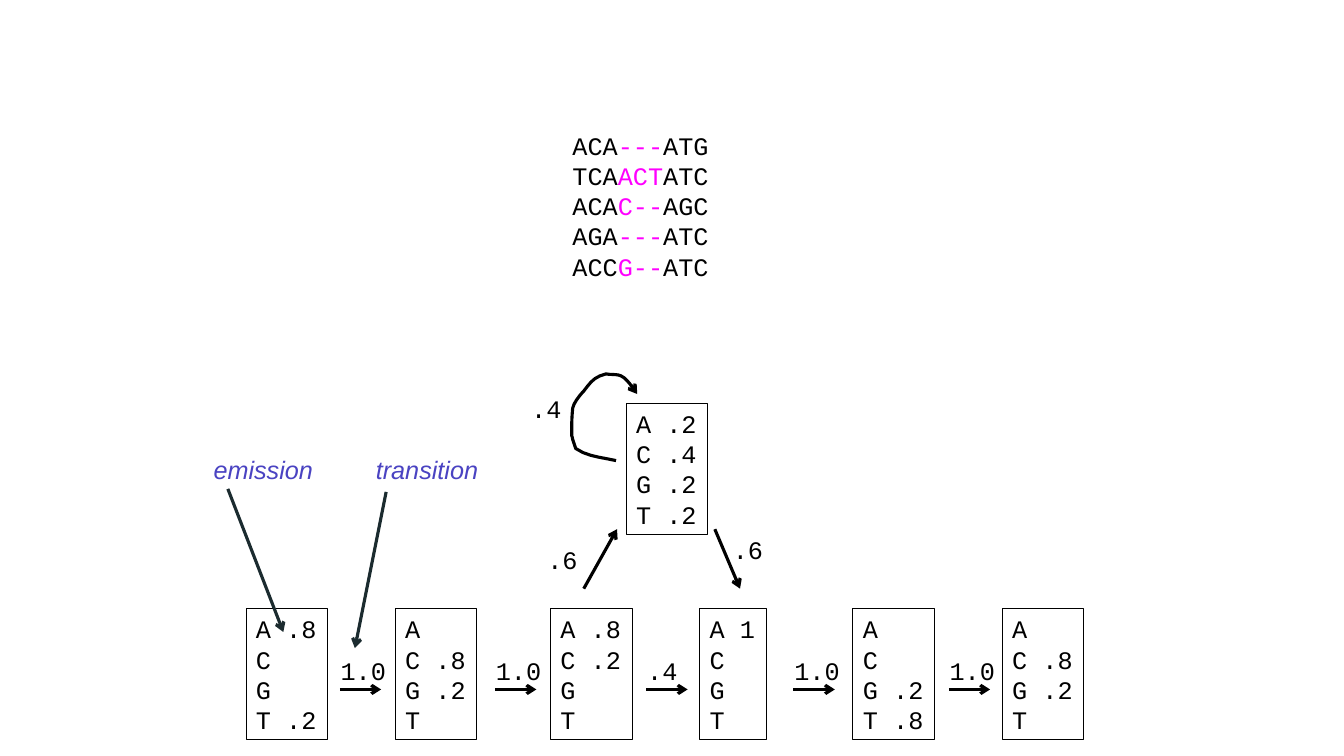
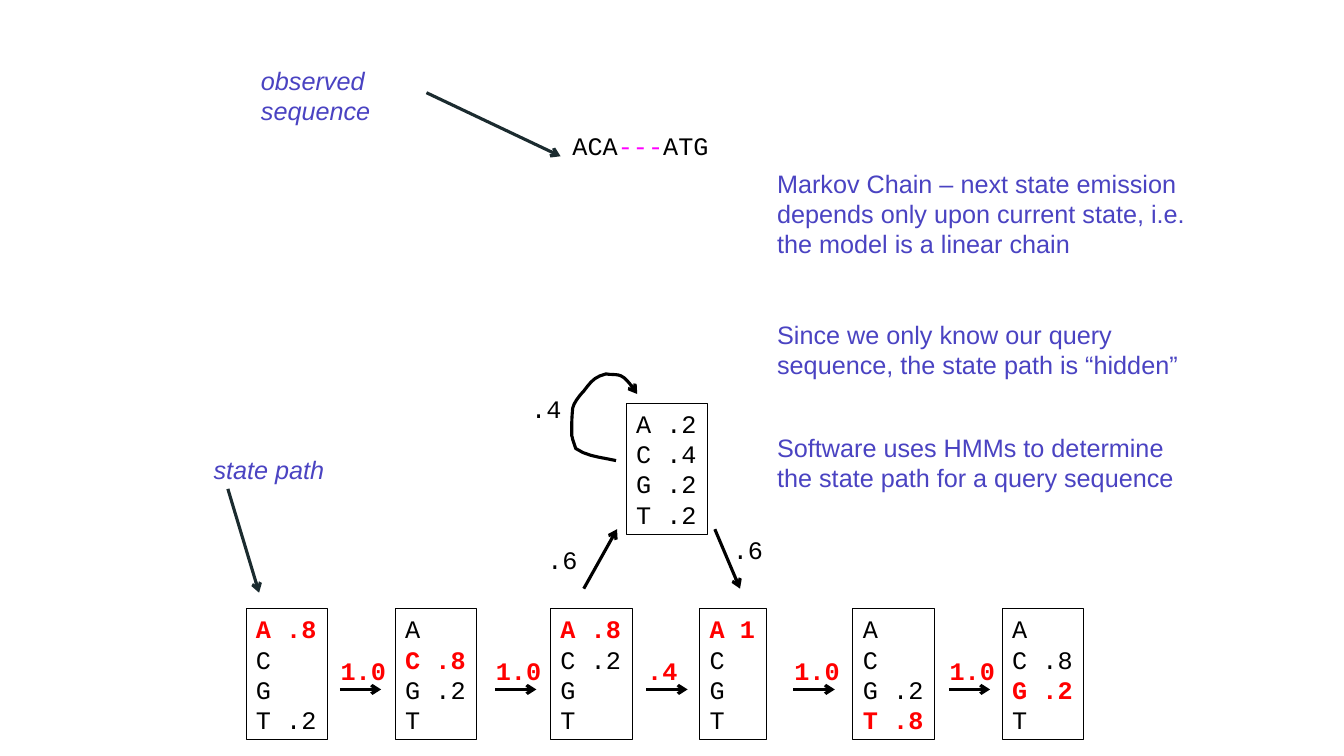
from lxml import etree
from pptx import Presentation
from pptx.dml.color import RGBColor
from pptx.enum import shapes, text
from pptx.oxml.ns import qn
from pptx.util import Inches, Pt

COLORS = {"ink": "000000", "insert": "FF00FF", "path": "FF0000",
          "note": "4A43C2", "pointer": "1B2B2F"}
MONO = {"name": "Courier New", "size": Pt(18), "bold": False, "italic": False}
NOTE = {**MONO, "name": "Arial"}
LABEL = {**NOTE, "italic": True}


def add_text(s, x, y, lines, fmt=MONO, width=None, wrap=False, border=False):
    """Place lines, each a list of (text, colour name) runs; path runs are bold."""
    if width is None:
        width = 0.21 + 0.15 * max(sum(len(t) for t, c in runs) for runs in lines)
    box = [Inches(v) for v in (x, y, width, 0.1 + 0.3 * len(lines))]
    if border:
        sp = s.shapes.add_shape(shapes.MSO_SHAPE.RECTANGLE, *box)
        sp.shadow.inherit = False
        sp.fill.background()
        sp.line.color.rgb = RGBColor.from_string(COLORS["ink"])
        sp.line.width = Pt(0.75)
    else:
        sp = s.shapes.add_textbox(*box)
    tf = sp.text_frame
    tf.word_wrap = wrap
    tf.auto_size = text.MSO_AUTO_SIZE.SHAPE_TO_FIT_TEXT
    tf.vertical_anchor = text.MSO_ANCHOR.TOP
    for i, runs in enumerate(lines):
        p = tf.paragraphs[0] if i == 0 else tf.add_paragraph()
        p.alignment = text.PP_ALIGN.LEFT
        for content, color in runs:
            r = p.add_run()
            r.text = content
            for key, value in fmt.items():
                setattr(r.font, key, value)
            r.font.bold = color == "path"
            r.font.color.rgb = RGBColor.from_string(COLORS[color])


def add_arrow(s, points, color="ink"):
    points = [(Inches(x), Inches(y)) for x, y in points]
    if len(points) == 2:
        sp = s.shapes.add_connector(shapes.MSO_CONNECTOR.STRAIGHT, *points[0], *points[1])
    else:
        fb = s.shapes.build_freeform(*points[0])
        fb.add_line_segments(points[1:], close=False)
        sp = fb.convert_to_shape()
        sp.fill.background()
    sp.line.color.rgb = RGBColor.from_string(COLORS[color])
    sp.line.width = Pt(2.25)
    sppr = sp.line._get_or_add_ln().getparent()
    etree.SubElement(sppr.find(qn("a:ln")), qn("a:tailEnd"), type="arrow")
    etree.SubElement(sppr, qn("a:effectLst"))


# Each alignment row: match columns, insert columns, match columns
ALIGNMENT = [("ACA", "---", "ATG"), ("TCA", "ACT", "ATC"), ("ACA", "C--", "AGC"),
             ("AGA", "---", "ATC"), ("ACC", "G--", "ATC")]
# Left edge, emissions, row on the state path
STATES = [(2.44, ["A .8", "C", "G", "T .2"], 0),
          (3.92, ["A", "C .8", "G .2", "T"], 1),
          (5.46, ["A .8", "C .2", "G", "T"], 0),
          (6.94, ["A 1", "C", "G", "T"], 0),
          (8.46, ["A", "C", "G .2", "T .8"], 3),
          (9.94, ["A", "C .8", "G .2", "T"], 2)]
INSERT_STATE = ["A .2", "C .4", "G .2", "T .2"]
TRANSITIONS = [(3.37, "1.0"), (4.91, "1.0"), (6.41, ".4"), (7.87, "1.0"), (9.41, "1.0")]
INSERT_LABELS = [(5.33, 5.35, ".6"), (7.17, 5.25, ".6"), (5.17, 3.85, ".4")]
INSERT_ARROWS = [[(5.79, 5.84), (6.12, 5.25)], [(7.09, 5.25), (7.34, 5.84)]]

# Self-loop: Bezier segments sampled into short lines
LOOP_START = (6.11, 4.57)
LOOP_CURVES = [[(5.98, 4.54), (5.82, 4.53), (5.71, 4.45)],
               [(5.7, 4.42), (5.69, 4.39), (5.68, 4.36)],
               [(5.68, 4.35), (5.67, 4.32), (5.67, 4.32)],
               [(5.67, 4.23), (5.67, 4.14), (5.68, 4.05)],
               [(5.69, 3.99), (5.77, 3.9), (5.79, 3.88)],
               [(5.86, 3.79), (5.89, 3.74), (6.01, 3.71)],
               [(6.06, 3.72), (6.12, 3.71), (6.16, 3.73)],
               [(6.21, 3.75), (6.27, 3.84), (6.27, 3.84)],
               [(6.29, 3.89), (6.27, 3.87), (6.32, 3.91)]]
STEPS = 5
loop = [LOOP_START]
for curve in LOOP_CURVES:
    a, b, c, d = loop[-1], *curve
    for step in range(1, STEPS + 1):
        t = step / STEPS
        loop.append(tuple((1 - t) ** 3 * a[k] + 3 * (1 - t) ** 2 * t * b[k]
                          + 3 * (1 - t) * t ** 2 * c[k] + t ** 3 * d[k] for k in (0, 1)))

SLIDES = [
    {"rows": ALIGNMENT, "path": False,
     "labels": [(2.02, 4.46, 1.2, ["emission"]), (3.63, 4.46, 1.23, ["transition"])],
     "pointers": [[(2.26, 4.85), (2.81, 6.27)], [(3.83, 4.88), (3.52, 6.43)]],
     "notes": []},
    {"rows": ALIGNMENT[:1], "path": True,
     "labels": [(2.02, 4.46, 1.31, ["state path"]),
                (2.49, 0.6, 1.3, ["observed", "sequence"])],
     "pointers": [[(2.26, 4.85), (2.57, 5.88)], [(4.23, 0.92), (5.56, 1.55)]],
     "notes": [(1.62, "Markov Chain – next state emission depends only upon current "
                      "state, i.e. the model is a linear chain"),
               (3.12, "Since we only know our query sequence, the state path is “hidden”"),
               (4.24, "Software uses HMMs to determine the state path for a query sequence")]},
]

prs = Presentation()
prs.slide_width, prs.slide_height = Inches(13.33), Inches(7.5)

for content in SLIDES:
    s = prs.slides.add_slide(prs.slide_layouts[6])
    on_path = "path" if content["path"] else "ink"

    add_text(s, 5.58, 1.24, [list(zip(row, ("ink", "insert", "ink")))
                             for row in content["rows"]])
    for x, emissions, hit in STATES:
        add_text(s, x, 6.04, [[(e, on_path if i == hit else "ink")]
                              for i, e in enumerate(emissions)], border=True)
    add_text(s, 6.21, 4, [[(e, "ink")] for e in INSERT_STATE], border=True)

    for x, probability in TRANSITIONS:
        add_arrow(s, [(x, 6.84), (x + 0.41, 6.84)])
        add_text(s, x - 0.09, 6.45, [[(probability, on_path)]])
    for points in [*INSERT_ARROWS, loop]:
        add_arrow(s, points)
    for x, y, probability in INSERT_LABELS:
        add_text(s, x, y, [[(probability, "ink")]])

    for points in content["pointers"]:
        add_arrow(s, points, "pointer")
    for x, y, width, lines in content["labels"]:
        add_text(s, x, y, [[(line, "note")] for line in lines], LABEL, width)
    for y, note in content["notes"]:
        add_text(s, 7.61, y, [[(note, "note")]], NOTE, 4.33, wrap=True)

prs.save("out.pptx")
